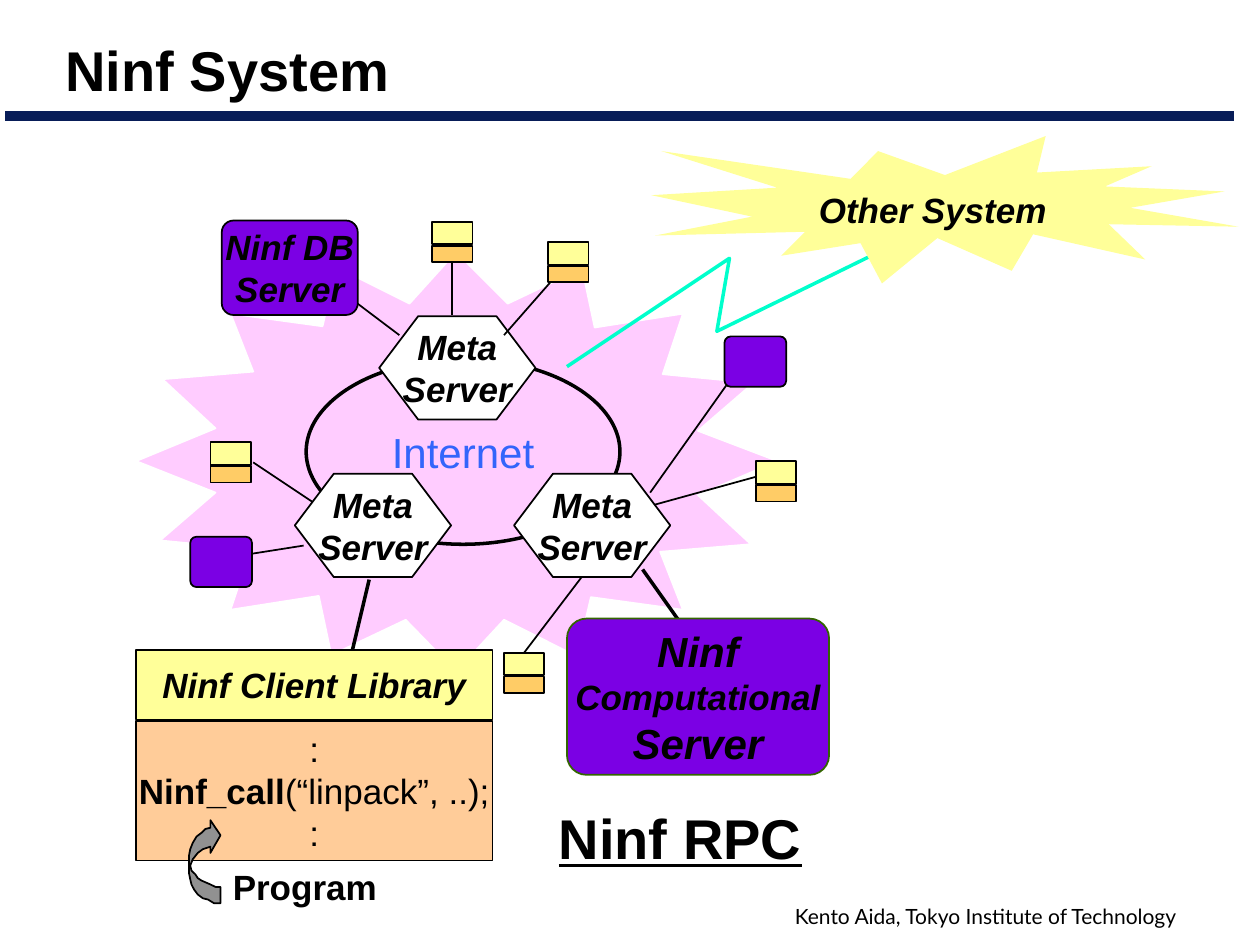
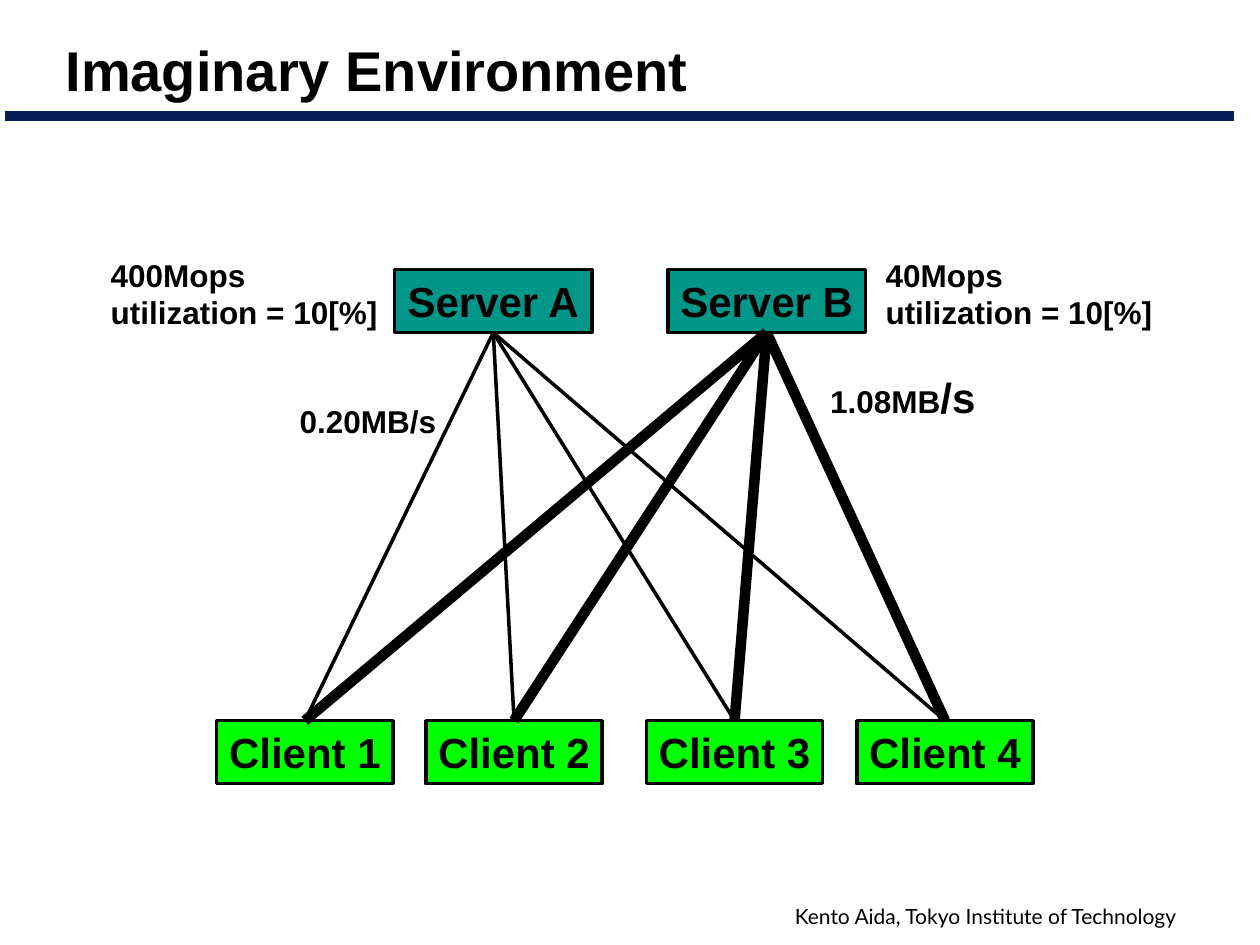
"""Build two slides on the Ninf system and an imaginary client-server environment."""
from lxml import etree
from pptx import Presentation
from pptx.dml.color import RGBColor
from pptx.enum.shapes import MSO_CONNECTOR, MSO_SHAPE
from pptx.enum.text import MSO_ANCHOR, MSO_AUTO_SIZE, PP_ALIGN
from pptx.oxml.ns import qn
from pptx.util import Pt

PX = 9144
STRAIGHT = MSO_CONNECTOR.STRAIGHT
RECTANGLE, ROUNDED = MSO_SHAPE.RECTANGLE, MSO_SHAPE.ROUNDED_RECTANGLE
OVAL, HEXAGON = MSO_SHAPE.OVAL, MSO_SHAPE.HEXAGON
LEFT, CENTER = PP_ALIGN.LEFT, PP_ALIGN.CENTER
MIDDLE, TOP = MSO_ANCHOR.MIDDLE, MSO_ANCHOR.TOP
NO_AUTOFIT = MSO_AUTO_SIZE.NONE
TOP_SIDE, BOTTOM_SIDE = 0, 2

BLACK = RGBColor(0x00, 0x00, 0x00)
WHITE = RGBColor(0xFF, 0xFF, 0xFF)
NAVY = RGBColor(0x08, 0x1D, 0x58)
PINK = RGBColor(0xFF, 0xCC, 0xFF)
AQUA = RGBColor(0x00, 0xFF, 0xCC)
YELLOW = RGBColor(0xFF, 0xFF, 0x99)
AMBER = RGBColor(0xFF, 0xCC, 0x66)
PEACH = RGBColor(0xFF, 0xCC, 0x99)
PURPLE = RGBColor(0x7B, 0x00, 0xE4)
MOSS = RGBColor(0x33, 0x66, 0x00)
BLUE = RGBColor(0x33, 0x65, 0xFB)
GRAY = RGBColor(0x91, 0x91, 0x91)
TEAL = RGBColor(0x00, 0x96, 0x88)
GREEN = RGBColor(0x00, 0xFF, 0x00)

FOOTER = "Kento Aida, Tokyo Institute of Technology"
TITLE_AREA = (42, 17, 925, 75)
FOOTER_AREA = (621, 712, 370, 30)
BAND = (4, 92, 979, 92)

INTERNET_CLOUD = [
    (108, 366), (171, 391), (127, 429), (199, 436), (183, 484), (253, 473), (263, 520),
    (322, 492), (362, 533), (400, 492), (458, 521), (469, 474), (542, 484), (524, 438),
    (596, 432), (554, 393), (617, 366), (554, 342), (598, 304), (526, 297), (542, 249),
    (472, 260), (462, 213), (403, 241), (362, 200), (325, 241), (267, 212), (256, 259),
    (183, 249), (201, 295), (129, 301), (171, 340)]
LIGHTNING = [(450, 291), (579, 205), (569, 263), (767, 166)]
OTHER_SYSTEM_BURST = [
    (750, 139), (697, 120), (675, 142), (525, 120), (617, 149), (517, 155), (597, 172),
    (520, 187), (639, 184), (620, 203), (683, 193), (700, 225), (744, 189), (803, 215),
    (820, 186), (909, 206), (880, 178), (983, 180), (897, 165), (972, 152), (877, 148),
    (914, 132), (823, 137), (830, 108)]
PROGRAM_ARROW = [
    (175, 717), (170, 717), (165, 714), (161, 713), (157, 710), (154, 706), (152, 702),
    (151, 698), (150, 693), (150, 679), (151, 674), (153, 669), (156, 664), (160, 661),
    (163, 658), (167, 657), (167, 651), (175, 663), (167, 677), (167, 672), (161, 674),
    (157, 677), (153, 682), (151, 687), (152, 691), (155, 694), (157, 697), (160, 699),
    (167, 702), (171, 704), (175, 704)]

META_SERVER_SIZE = (124, 82)
TOP_META_SERVER = (301, 251)
LOWER_META_SERVERS = [(234, 376), (408, 376)]
STORES = {"left": (167, 351), "bottom": (400, 518), "upper right": (435, 192),
          "top": (343, 176), "right": (600, 366)}
PLAIN_SERVERS = [(151, 426, 49, 40), (575, 267, 49, 40)]
LINKS = [
    (201, 367, 249, 399, 1), (184, 442, 241, 433, 1), (510, 452, 549, 507, 2),
    (293, 460, 274, 540, 2), (592, 284, 516, 391, 1), (518, 401, 616, 374, 1),
    (252, 217, 317, 266, 1), (443, 217, 400, 266, 1)]

SERVERS = [("Server A", 313, 2), ("Server B", 530, 6)]
CLIENTS = [("Client 1", 172), ("Client 2", 338), ("Client 3", 513), ("Client 4", 680)]
SERVER_NOTES = [("400Mops", 78), ("40Mops", 693)]
UTILIZATION = "utilization = 10[%]"


def scaled(lengths):
    """Turn px lengths into EMU."""
    return [length * PX for length in lengths]


def write(box, lines, size, bold=False, italic=False, color=BLACK, font="Arial",
          align=CENTER, anchor=MIDDLE, wrap=False):
    """Fill a box with lines, each a string or a list of (text, size, bold) spans."""
    frame = box.text_frame
    frame.word_wrap = wrap
    frame.auto_size = NO_AUTOFIT
    frame.vertical_anchor = anchor
    for index, line in enumerate(lines):
        para = frame.add_paragraph() if index else frame.paragraphs[0]
        para.alignment = align
        spans = [(line, size, bold)] if isinstance(line, str) else line
        for text, span_size, span_bold in spans:
            span = para.add_run()
            span.text = text
            span.font.name = font
            span.font.size = Pt(span_size)
            span.font.bold = span_bold
            span.font.italic = italic
            span.font.color.rgb = color


def paint(shape, fill, line, width=1):
    """Give a shape its fill and line, None meaning no fill or no line."""
    shape.shadow.inherit = False
    if fill is None:
        shape.fill.background()
    else:
        shape.fill.solid()
        shape.fill.fore_color.rgb = fill
    if line is None:
        shape.line.fill.background()
    else:
        shape.line.color.rgb = line
        shape.line.width = Pt(width)


def add_box(page, kind, area, fill, line=BLACK, width=1):
    """Add a preset shape."""
    box = page.shapes.add_shape(kind, *scaled(area))
    paint(box, fill, line, width)
    if kind == ROUNDED:
        box.adjustments[0] = 0.125
    return box


def add_label(page, area, lines, size, **style):
    """Add a text box."""
    label = page.shapes.add_textbox(*scaled(area))
    write(label, lines, size, anchor=TOP, **style)
    return label


def add_outline(page, points, fill, line, width=1, closed=True):
    """Add a freeform through the points."""
    builder = page.shapes.build_freeform(*points[0], scale=PX)
    builder.add_line_segments(points[1:], close=closed)
    paint(builder.convert_to_shape(), fill, line, width)


def add_line(page, ends, width, color=BLACK):
    """Add a straight connector without shadow."""
    line = page.shapes.add_connector(STRAIGHT, *scaled(ends))
    line.line.color.rgb = color
    line.line.width = Pt(width)
    etree.SubElement(line.element.spPr, qn("a:effectLst"))
    return line


def add_page(deck, layout, title):
    """Add a slide with its title."""
    page = deck.slides.add_slide(layout)
    write(page.shapes.title, [title], 32, bold=True, align=LEFT, wrap=True)
    return page


def prepare_layout(layout, page):
    """Place the title, and move the band and footer made on a page into the layout."""
    for holder in list(layout.placeholders):
        if holder.placeholder_format.idx:
            holder.element.getparent().remove(holder.element)
        else:
            holder.left, holder.top, holder.width, holder.height = scaled(TITLE_AREA)
    band = add_line(page, BAND, 6, NAVY)
    footer = add_label(page, FOOTER_AREA, [FOOTER], 12, font="Lato", align=LEFT, wrap=True)
    for part in (band, footer):
        layout.shapes.element.append(part.element)


def add_meta_server(page, corner):
    """Add a hexagonal meta server."""
    server = add_box(page, HEXAGON, corner + META_SERVER_SIZE, WHITE)
    server.adjustments[0] = 0.377
    write(server, ["Meta", "Server"], 20, bold=True, italic=True)


def add_store(page, corner):
    """Add a client icon of two stacked rectangles."""
    left, top = corner
    upper = add_box(page, RECTANGLE, (left, top, 32, 18), YELLOW)
    lower = add_box(page, RECTANGLE, (left, top + 19, 32, 13), AMBER)
    return upper, lower


def fill_system(page):
    """Draw the Ninf system."""
    add_outline(page, INTERNET_CLOUD, PINK, WHITE)
    add_outline(page, LIGHTNING, None, AQUA, 2, closed=False)
    add_outline(page, OTHER_SYSTEM_BURST, YELLOW, None)
    internet = add_box(page, OVAL, (243, 285, 249, 147), None, width=2)
    write(internet, ["Internet"], 24, color=BLUE)

    add_meta_server(page, TOP_META_SERVER)
    for *ends, width in LINKS:
        add_line(page, ends, width)
    stores = {place: add_store(page, corner) for place, corner in STORES.items()}
    add_line(page, (359, 250, 359, 208), 1).end_connect(stores["top"][1], BOTTOM_SIDE)
    add_line(page, (467, 451, 416, 518), 1).end_connect(stores["bottom"][0], TOP_SIDE)
    for corner in LOWER_META_SERVERS:
        add_meta_server(page, corner)

    for area in PLAIN_SERVERS:
        add_box(page, ROUNDED, area, PURPLE)
    database = add_box(page, ROUNDED, (176, 175, 108, 75), PURPLE)
    write(database, ["Ninf DB", "Server"], 20, bold=True, italic=True)
    computer = add_box(page, ROUNDED, (450, 491, 208, 124), PURPLE, MOSS)
    write(computer, ["Ninf", [("Computational", 20, True)], "Server"], 24,
          bold=True, italic=True)
    library = add_box(page, RECTANGLE, (108, 516, 283, 55), YELLOW)
    write(library, ["Ninf Client Library"], 20, bold=True, italic=True)
    program = add_box(page, RECTANGLE, (108, 572, 283, 111), PEACH)
    call = [("Ninf_call", 20, True), ("(“linpack”, ..);", 20, False)]
    write(program, [":", call, ":"], 20)

    add_label(page, (175, 682, 134, 43), ["Program"], 20, bold=True)
    add_outline(page, PROGRAM_ARROW, GRAY, BLACK)
    add_label(page, (640, 145, 209, 43), ["Other System"], 20, bold=True, italic=True,
              align=LEFT)
    heading = add_label(page, (425, 633, 230, 63), ["Ninf RPC"], 32, bold=True, wrap=True)
    heading.text_frame.paragraphs[0].runs[0].font.underline = True


def add_machine(page, name, area, fill):
    """Add a named server or client."""
    machine = add_box(page, RECTANGLE, area, fill, width=2)
    write(machine, [name], 24, bold=True)
    return machine


def fill_environment(page):
    """Draw two servers, four clients and every link between them."""
    clients = [add_machine(page, name, (left, 572, 140, 50), GREEN)
               for name, left in CLIENTS]
    for name, left, width in SERVERS:
        server = add_machine(page, name, (left, 214, 157, 50), TEAL)
        for client in clients:
            link = add_line(page, (0, 0, 0, 0), width)
            link.begin_connect(server, BOTTOM_SIDE)
            link.end_connect(client, TOP_SIDE)
    for speed, left in SERVER_NOTES:
        add_label(page, (left, 198, 232, 70), [speed, UTILIZATION], 18, bold=True,
                  align=LEFT)
    add_label(page, (228, 314, 128, 40), ["0.20MB/s"], 18, bold=True)
    add_label(page, (649, 290, 135, 50), [[("1.08MB", 18, True), ("/s", 24, True)]], 18)


def main():
    """Build and save the deck."""
    deck = Presentation()
    deck.slide_width, deck.slide_height = scaled((1000, 750))
    layout = deck.slide_layouts[5]
    system = add_page(deck, layout, "Ninf System")
    prepare_layout(layout, system)
    fill_system(system)
    fill_environment(add_page(deck, layout, "Imaginary Environment"))
    deck.save("out.pptx")


if __name__ == "__main__":
    main()
